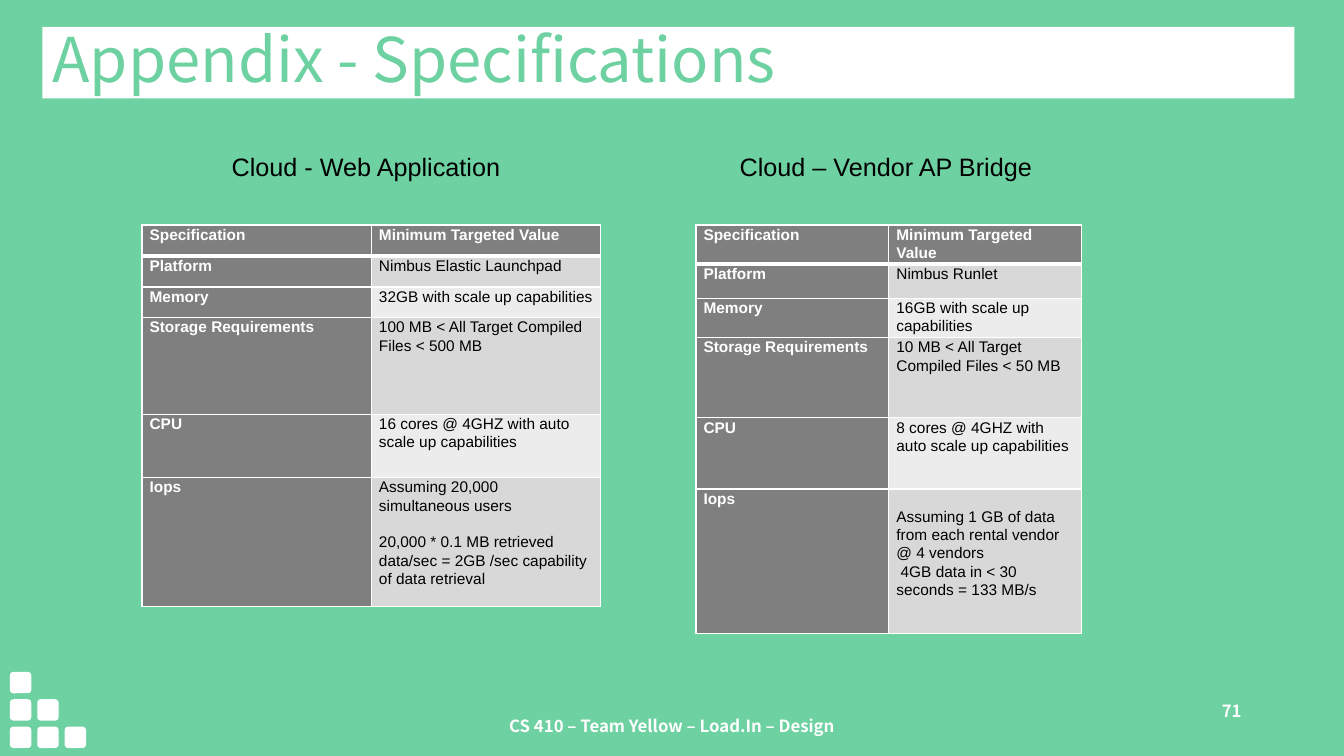
from lxml import etree
from pptx import Presentation
from pptx.dml.color import RGBColor
from pptx.enum.shapes import MSO_SHAPE
from pptx.enum.text import MSO_ANCHOR, MSO_AUTO_SIZE, PP_ALIGN
from pptx.oxml.ns import qn
from pptx.util import Cm, Pt

LEFT, CENTER, RIGHT = PP_ALIGN.LEFT, PP_ALIGN.CENTER, PP_ALIGN.RIGHT
TOP, MIDDLE = MSO_ANCHOR.TOP, MSO_ANCHOR.MIDDLE
NO_FIT = MSO_AUTO_SIZE.NONE
ROUNDED = MSO_SHAPE.ROUNDED_RECTANGLE
TITLE_ONLY = 5


def color(value):
    return RGBColor.from_string(value)


def paint(target, value):
    target.fill.solid()
    target.fill.fore_color.rgb = color(value)


def write(tf, text, font="Arial", size=11, ink="000000", bold=False,
          align=LEFT, spacing=1.0, gap=0):
    for i, line in enumerate(text.split("\n")):
        p = tf.paragraphs[0] if i == 0 else tf.add_paragraph()
        p.alignment = align
        p.line_spacing = spacing
        p.space_before = Pt(gap if i else 0)
        r = p.add_run()
        r.text = line
        r.font.name = font
        r.font.size = Pt(size)
        r.font.bold = bold
        r.font.color.rgb = color(ink)


class SlideBuilder:
    green, white, gray = "6DD1A1", "FFFFFF", "7F7F7F"
    bands = ("D8D8D8", "ECECEC")
    heading_font = "Noto Sans CJK KR"

    def __init__(self, prs):
        self.s = prs.slides.add_slide(prs.slide_layouts[TITLE_ONLY])
        paint(self.s.background, self.green)

    def title(self, text, x, y, w, h):
        sp = self.s.shapes.title
        sp.left, sp.top, sp.width, sp.height = Cm(x), Cm(y), Cm(w), Cm(h)
        paint(sp, self.white)
        tf = sp.text_frame
        tf.auto_size = NO_FIT
        tf.vertical_anchor = MIDDLE
        write(tf, text, font=self.heading_font, size=44, ink=self.green,
              spacing=0.9)

    def text(self, text, x, y, w, h, anchor=TOP, **style):
        sp = self.s.shapes.add_textbox(Cm(x), Cm(y), Cm(w), Cm(h))
        tf = sp.text_frame
        tf.word_wrap = True
        tf.vertical_anchor = anchor
        write(tf, text, **style)

    def footer(self, text, x, w, **style):
        self.text(text, x, 17.53, w, 1.52, font=self.heading_font, size=12,
                  ink=self.white, bold=True, **style)

    def stairs(self, x, bottom, size, step, heights):
        for col, height in enumerate(heights):
            for level in range(height):
                sp = self.s.shapes.add_shape(
                    ROUNDED, Cm(x + col * step), Cm(bottom - size - level * step),
                    Cm(size), Cm(size))
                sp.shadow.inherit = False
                paint(sp, self.white)
                sp.line.fill.background()

    def borders(self, cell, top, bottom):
        tc_pr = cell._tc.get_or_add_tcPr()
        sides = (("L", 1), ("R", 1), ("T", top), ("B", bottom))
        for i, (side, width) in enumerate(sides):
            ln = etree.Element(qn("a:ln" + side), w=str(Pt(width)))
            fill = etree.SubElement(ln, qn("a:solidFill"))
            etree.SubElement(fill, qn("a:srgbClr"), val=self.white)
            tc_pr.insert(i, ln)

    def table(self, x, y, col_width, heights, rows, gap=0, last_top=0):
        frame = self.s.shapes.add_table(len(rows), 2, Cm(x), Cm(y),
                                        Cm(2 * col_width), Cm(sum(heights)))
        table = frame.table
        table.horz_banding = False
        for column in table.columns:
            column.width = Cm(col_width)
        for i, (row, height) in enumerate(zip(rows, heights)):
            table.rows[i].height = Cm(height)
            for j, text in enumerate(row):
                cell = table.cell(i, j)
                label = i == 0 or j == 0
                cell.margin_left = cell.margin_right = Cm(0.19)
                cell.margin_top = cell.margin_bottom = 0
                paint(cell, self.gray if label else self.bands[(i - 1) % 2])
                self.borders(cell, 3 if i == 1 else 1, 3 if i == 0 else 1)
                write(cell.text_frame, text, bold=label, spacing=1.07, gap=gap,
                      ink=self.white if label else "000000")
        table.cell(len(rows) - 1, 1).margin_top = Cm(last_top)


def main():
    prs = Presentation()
    prs.slide_width, prs.slide_height = Cm(33.87), Cm(19.05)
    b = SlideBuilder(prs)
    b.stairs(0.25, 18.85, 0.54, 0.69, (3, 2, 1))
    b.title("Appendix - Specifications", 1.07, 0.68, 31.55, 1.8)

    labels = ("Specification", "Platform", "Memory", "Storage Requirements",
              "CPU", "Iops")
    web = ("Minimum Targeted Value", "Nimbus Elastic Launchpad",
           "32GB with scale up capabilities",
           "100 MB < All Target Compiled Files < 500 MB",
           "16 cores @ 4GHZ with auto scale up capabilities",
           "Assuming 20,000 simultaneous users\n"
           "20,000 * 0.1 MB retrieved data/sec = 2GB /sec capability of data retrieval")
    bridge = ("Minimum Targeted Value", "Nimbus Runlet",
              "16GB with scale up capabilities",
              "10 MB < All Target Compiled Files < 50 MB",
              "8 cores @ 4GHZ with auto scale up capabilities",
              "Assuming 1 GB of data from each rental vendor @ 4 vendors\n"
              " 4GB data in < 30 seconds = 133 MB/s")
    b.table(3.58, 5.67, 5.78, (0.78, 0.78, 0.78, 2.43, 1.6, 3.25),
            list(zip(labels, web)), gap=13)
    b.table(17.54, 5.67, 4.86, (0.99, 0.86, 0.99, 2.02, 1.79, 3.64),
            list(zip(labels, bridge)), last_top=0.46)

    b.text("Cloud - Web Application", 5.59, 3.68, 10.74, 1.02, size=18)
    b.text("Cloud – Vendor AP Bridge", 18.39, 3.68, 9.17, 1.02, size=18)
    b.footer("71", 23.92, 7.62, align=RIGHT)
    b.footer("CS 410 – Team Yellow – Load.In – Design", 11.22, 11.43,
             anchor=MIDDLE, align=CENTER)
    prs.save("out.pptx")


if __name__ == "__main__":
    main()
